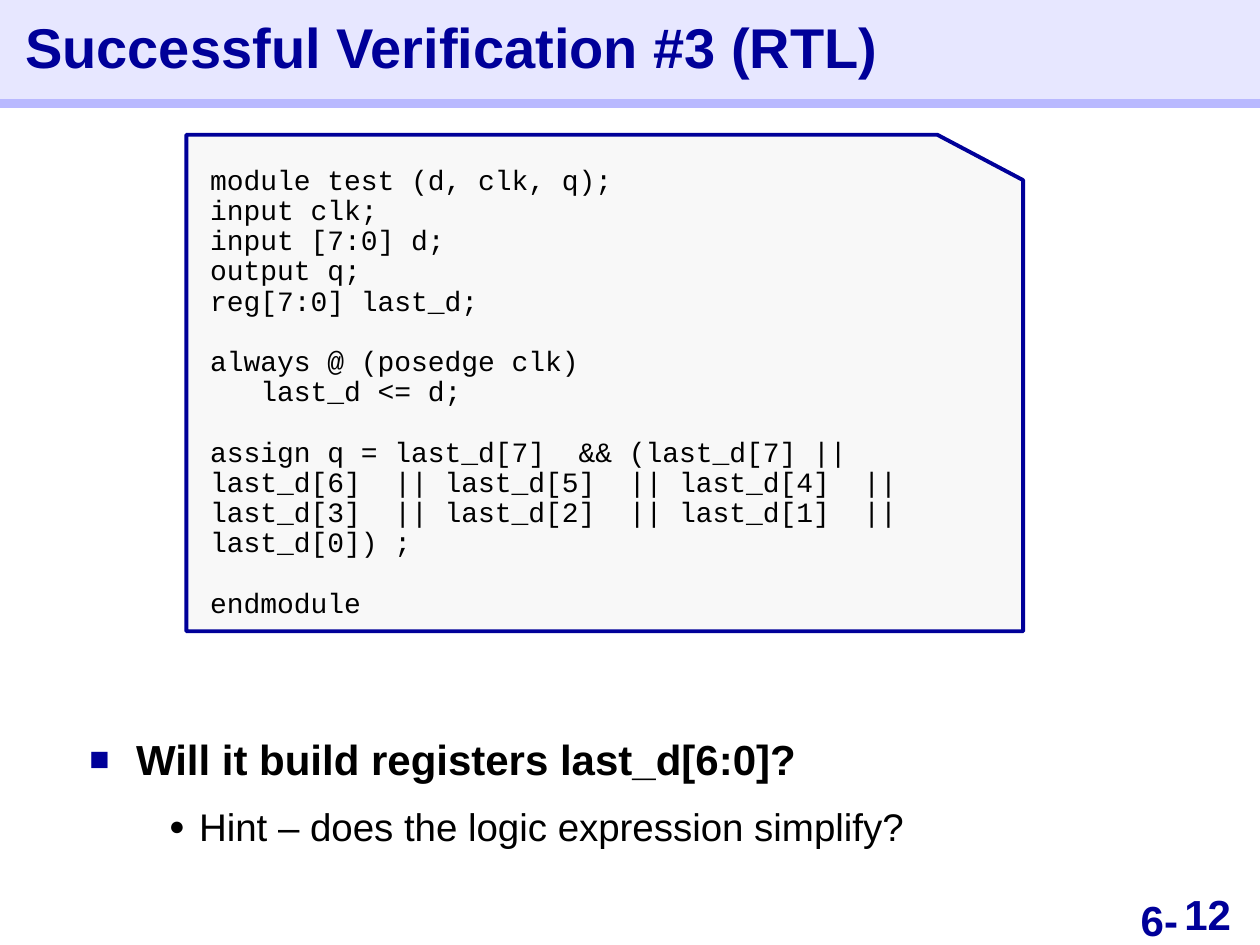
from lxml import etree
from pptx import Presentation
from pptx import util as u
from pptx.dml.color import RGBColor
from pptx.enum import shapes, text
from pptx.oxml import ns

NAVY, BLACK, PALE, LAVENDER, GREY, WHITE = (
    "000099", "000000", "E7E7FF", "B9B9FF", "F8F8F8", "FFFFFF")
WIDTH, HEIGHT = 10, 7.5
TITLE_HEIGHT = 0.8
FOOTER_TOP, FOOTER_HEIGHT = 7.1, 0.4

CODE_SIZE, CODE_SPACING = 16, 0.9
CODE_BLOCKS = [
    ["module test (d, clk, q);", "input clk;", "input [7:0] d;", "output q;",
     "reg[7:0] last_d;"],
    ["always @ (posedge clk)", "   last_d <= d;"],
    ["assign q = last_d[7]  && (last_d[7] || last_d[6]  || last_d[5]  || "
     "last_d[4]  || last_d[3]  || last_d[2]  || last_d[1]  || last_d[0]) ;"],
    ["endmodule"],
]


def color(value):
    return RGBColor.from_string(value)


def fill(shape, value):
    shape.fill.solid()
    shape.fill.fore_color.rgb = color(value)


def place(shape, left, top, width, height):
    shape.left, shape.top = u.Inches(left), u.Inches(top)
    shape.width, shape.height = u.Inches(width), u.Inches(height)


def set_frame(shape, inset_x=0, inset_y=0, anchor=text.MSO_ANCHOR.TOP):
    frame = shape.text_frame
    frame.word_wrap = True
    frame.auto_size = text.MSO_AUTO_SIZE.NONE
    frame.vertical_anchor = anchor
    frame.margin_left = frame.margin_right = u.Inches(inset_x)
    frame.margin_top = frame.margin_bottom = u.Inches(inset_y)
    return frame


def add_span(para, words, size, value, bold=False, font="Arial"):
    span = para.add_run()
    span.text = words
    span.font.name, span.font.size, span.font.bold = font, u.Pt(size), bold
    span.font.color.rgb = color(value)


def next_para(frame, index):
    return frame.add_paragraph() if index else frame.paragraphs[0]


def add_bullet(para, char, value, percent, margin, hanging):
    props = para._p.get_or_add_pPr()
    props.set("marL", str(u.Inches(margin)))
    props.set("indent", str(-u.Inches(hanging)))
    tint = etree.SubElement(props, ns.qn("a:buClr"))
    etree.SubElement(tint, ns.qn("a:srgbClr"), val=value)
    etree.SubElement(props, ns.qn("a:buSzPct"), val=str(percent * 1000))
    etree.SubElement(props, ns.qn("a:buFont"), typeface="Arial")
    etree.SubElement(props, ns.qn("a:buChar"), char=char)


def add_title(page, words):
    title = page.shapes.title
    place(title, 0, 0, WIDTH, TITLE_HEIGHT)
    fill(title, PALE)
    para = set_frame(title, 0.2, 0, text.MSO_ANCHOR.MIDDLE).paragraphs[0]
    para.alignment = text.PP_ALIGN.LEFT
    para.line_spacing = 0.88
    add_span(para, words, 32, NAVY, bold=True)


def add_rule(page, top):
    rule = page.shapes.add_connector(
        shapes.MSO_CONNECTOR.STRAIGHT, 0, u.Inches(top),
        u.Inches(WIDTH), u.Inches(top))
    rule.line.color.rgb = color(LAVENDER)
    rule.line.width = u.Pt(5)
    etree.SubElement(rule._element.spPr, ns.qn("a:effectLst"))


def add_code_card(page):
    """Draw a card with a cut corner and set the code on it."""
    left, top, right, bottom = 1.48, 1.07, 8.12, 5.01
    cut_x, cut_y = 0.68, 0.36
    builder = page.shapes.build_freeform(
        u.Inches(left), u.Inches(top), scale=1.0)
    corners = [(right - cut_x, top), (right, top + cut_y),
               (right, bottom), (left, bottom)]
    builder.add_line_segments(
        [(u.Inches(x), u.Inches(y)) for x, y in corners], close=True)
    card = builder.convert_to_shape()
    card.shadow.inherit = False
    fill(card, GREY)
    card.line.color.rgb = color(NAVY)
    card.line.width = u.Pt(2.25)

    box = page.shapes.add_textbox(0, 0, 0, 0)
    place(box, 1.57, 1.27, 6.06, 3.7)
    fill(box, GREY)
    frame = set_frame(box, 0.1, 0.05)
    count = 0
    for block in CODE_BLOCKS:
        for row, line in enumerate(block):
            para = next_para(frame, count)
            para.line_spacing = CODE_SPACING
            if count and row == 0:
                para.space_before = u.Pt(17.3)  # one line of code
            add_span(para, line, CODE_SIZE, BLACK, font="Courier New")
            count += 1


def add_question(page):
    body = page.placeholders[1]
    place(body, 0.61, 5.77, 8.78, 1.18)
    frame = set_frame(body, 0.1, 0.05)

    question = next_para(frame, 0)
    question.space_before = u.Pt(0)
    add_bullet(question, "■", NAVY, 80, 0.37, 0.37)
    add_span(question, "Will it build registers last_d[6:0]?", 24, BLACK, bold=True)

    hint = next_para(frame, 1)
    hint.level = 1
    hint.line_spacing = 0.9
    hint.space_before = u.Pt(13.8)
    add_bullet(hint, "●", BLACK, 70, 0.87, 0.24)
    add_span(hint, "Hint – does the logic expression simplify?", 22, BLACK)


def add_footer_text(page, words, left, width, align, spacing=1.0):
    box = page.shapes.add_textbox(0, 0, 0, 0)
    place(box, left, FOOTER_TOP, width, FOOTER_HEIGHT)
    para = set_frame(box).paragraphs[0]
    para.alignment = align
    para.line_spacing = spacing
    add_span(para, words, 24, NAVY, bold=True)
    return box


def main():
    deck = Presentation()
    deck.slide_width, deck.slide_height = u.Inches(WIDTH), u.Inches(HEIGHT)
    page = deck.slides.add_slide(deck.slide_layouts[1])
    page.background.fill.solid()
    page.background.fill.fore_color.rgb = color(WHITE)

    add_rule(page, 0.82)
    add_title(page, "Successful Verification #3 (RTL)")
    add_question(page)
    add_code_card(page)
    add_footer_text(page, "6-", 8.52, 0.83, text.PP_ALIGN.RIGHT)
    number = add_footer_text(page, "12", 9.4, 0.59, text.PP_ALIGN.LEFT, 0.9)
    fill(number, WHITE)
    deck.save("out.pptx")


if __name__ == "__main__":
    main()
